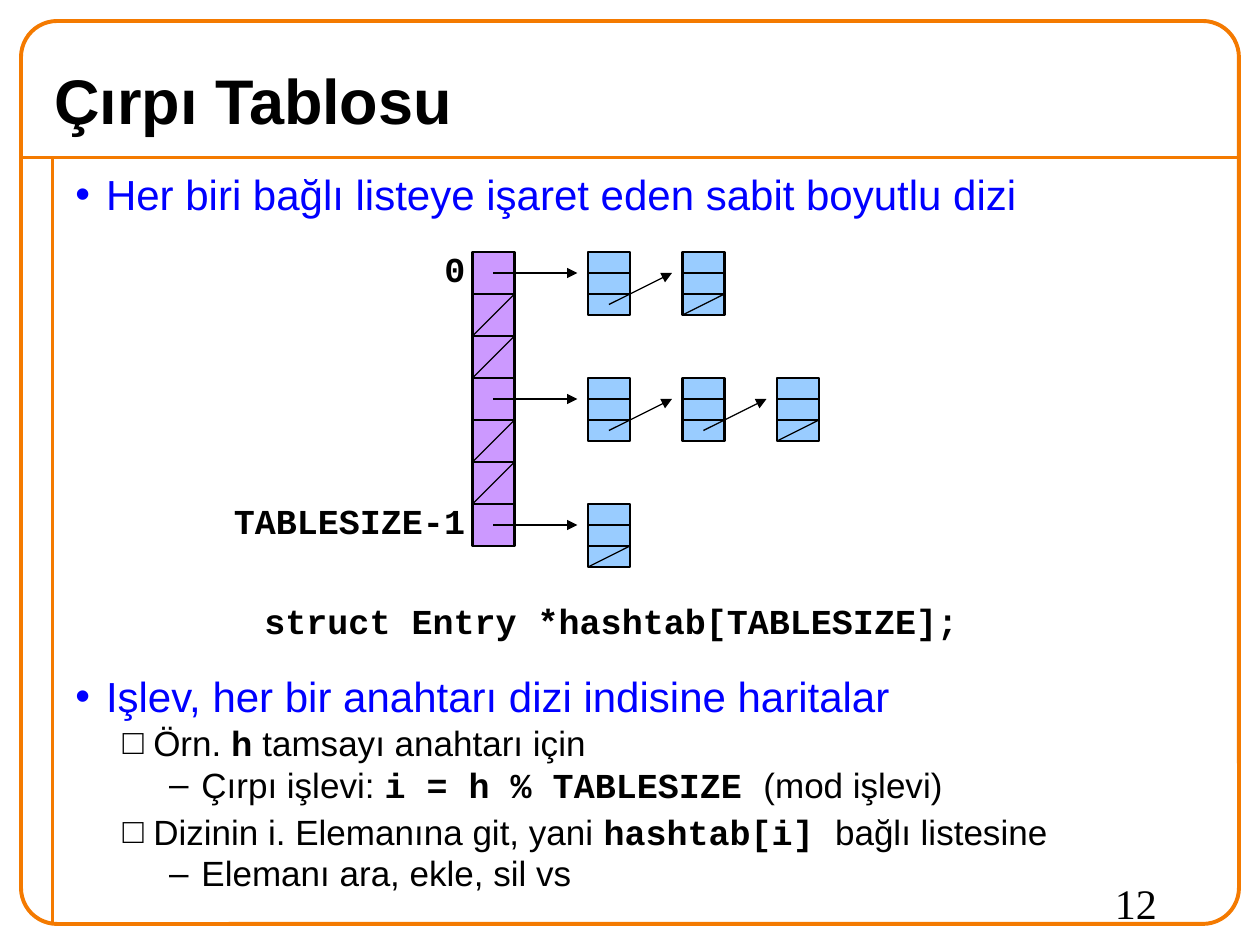
import pptx
import pptx.util
from lxml import etree
from pptx.dml.color import RGBColor
from pptx.enum.shapes import MSO_CONNECTOR, MSO_SHAPE
from pptx.enum.text import MSO_ANCHOR, PP_ALIGN
from pptx.oxml.ns import qn

Pt = pptx.util.Pt

ORANGE = RGBColor(0xF4, 0x7A, 0x00)
BLUE = RGBColor(0x00, 0x00, 0xFF)
BLACK = RGBColor(0x00, 0x00, 0x00)
PURPLE = RGBColor(0xCC, 0x99, 0xFF)
SKY = RGBColor(0x99, 0xCC, 0xFF)

SANS, MONO, SERIF = "Arial", "Courier New", "Times New Roman"

CELL = 24                     # side of a table slot, width of a list node
FIELD = CELL / 2              # height of one node field
TABLE_X, TABLE_Y = 270, 144
NODE_X, NODE_STEP = 336, 54
SLOTS = 7
CHAINS = {0: 2, 3: 3, 6: 1}   # slot -> number of nodes in its list
LABELS = {0: "0", SLOTS - 1: "TABLESIZE-1"}

# level -> bullet, colour, size, left margin, hanging indent
LEVELS = [
    ("•", BLUE, 24, 17.5, 17.5),
    ("□", BLACK, 20, 44.5, 17.5),
    ("–", BLACK, 20, 72, 18.5),
]

# level, space before, line spacing, runs of (text, font, bold)
BODY = [
    (0, 15, 0.9, [("Her biri bağlı listeye işaret eden sabit boyutlu dizi", SANS, False)]),
    (0, 261, 0.9, [("Işlev, her bir anahtarı dizi indisine haritalar", SANS, False)]),
    (1, 2.5, 0.9, [("Örn. ", SANS, False), ("h", SANS, True),
                   (" tamsayı anahtarı için", SANS, False)]),
    (2, 2.5, 0.9, [("Çırpı işlevi: ", SANS, False), ("i = h % TABLESIZE ", MONO, True),
                   ("(mod işlevi)", SANS, False)]),
    (1, 2.5, 1.0, [("Dizinin i. Elemanına git, yani ", SANS, False),
                   ("hashtab[i] ", MONO, True), ("bağlı listesine", SANS, False)]),
    (2, 2.5, 0.9, [("Elemanı ara, ekle, sil vs", SANS, False)]),
]


class Painter:
    def __init__(self, slide):
        self.s = slide

    def line(self, x1, y1, x2, y2, color=BLACK, width=0.75, arrow=False):
        c = self.s.shapes.add_connector(
            MSO_CONNECTOR.STRAIGHT, Pt(x1), Pt(y1), Pt(x2), Pt(y2))
        c.line.color.rgb = color
        c.line.width = Pt(width)
        if arrow:
            etree.SubElement(c.line._get_or_add_ln(), qn("a:tailEnd"), type="triangle")
        etree.SubElement(c._element.spPr, qn("a:effectLst"))

    def box(self, x, y, w, h, fill=None, color=BLACK, width=1.25,
            kind=MSO_SHAPE.RECTANGLE, parent=None):
        shapes = (parent or self.s).shapes
        sp = shapes.add_shape(kind, Pt(x), Pt(y), Pt(w), Pt(h))
        sp.shadow.inherit = False
        if fill is None:
            sp.fill.background()
        else:
            sp.fill.solid()
            sp.fill.fore_color.rgb = fill
        sp.line.color.rgb = color
        sp.line.width = Pt(width)
        return sp

    def node(self, x, y):
        group = self.s.shapes.add_group_shape()
        for i in range(3):
            self.box(x, y + i * FIELD, CELL, FIELD, SKY, parent=group)

    def null(self, x, y, h):
        """Strike out an empty pointer cell."""
        self.line(x + CELL, y, x, y + h)

    def style(self, r, size, font, color, bold):
        r.font.size = Pt(size)
        r.font.name = font
        r.font.bold = bold
        r.font.color.rgb = color

    def frame(self, x, y, w, h, wrap=True):
        tf = self.s.shapes.add_textbox(Pt(x), Pt(y), Pt(w), Pt(h)).text_frame
        tf.word_wrap = wrap
        return tf

    def text(self, x, y, w, h, text, size, font, bold=True, wrap=True,
             align=PP_ALIGN.LEFT, anchor=MSO_ANCHOR.TOP):
        tf = self.frame(x, y, w, h, wrap)
        tf.vertical_anchor = anchor
        tf.text = text
        p = tf.paragraphs[0]
        p.alignment = align
        self.style(p.runs[0], size, font, BLACK, bold)
        return p

    def bullets(self, x, y, w, h, items):
        tf = self.frame(x, y, w, h)
        for i, (level, before, spacing, runs) in enumerate(items):
            p = tf.add_paragraph() if i else tf.paragraphs[0]
            mark, color, size, margin, hang = LEVELS[level]
            p.level = level
            p.line_spacing = spacing
            p.space_before = Pt(before)
            pPr = p._p.get_or_add_pPr()
            pPr.set("marL", str(Pt(margin)))
            pPr.set("indent", str(-Pt(hang)))
            clr = etree.SubElement(pPr, qn("a:buClr"))
            etree.SubElement(clr, qn("a:srgbClr"), val=str(color))
            etree.SubElement(pPr, qn("a:buFont"), typeface=SANS)
            etree.SubElement(pPr, qn("a:buChar"), char=mark)
            for text, font, bold in runs:
                r = p.add_run()
                r.text = text
                self.style(r, size, font, color, bold)


def draw_hash_table(painter):
    for slot in range(SLOTS):
        y = TABLE_Y + slot * CELL
        painter.box(TABLE_X, y, CELL, CELL, PURPLE)
        if slot in LABELS:
            w = 12 * len(LABELS[slot]) + 15
            painter.text(273 - w, y - 6, w, 32, LABELS[slot], 20, MONO,
                         wrap=False, align=PP_ALIGN.RIGHT)
        if slot not in CHAINS:
            painter.null(TABLE_X, y, CELL)

    for slot, count in CHAINS.items():
        y = TABLE_Y + slot * CELL
        start = (TABLE_X + CELL / 2, y + FIELD)
        for i in range(count):
            x = NODE_X + i * NODE_STEP
            painter.node(x, y)
            painter.line(*start, x - 6, y + FIELD, arrow=True)
            start = (x + CELL / 2, y + 2.5 * FIELD)
        painter.null(x, y + 2 * FIELD, FIELD)


def main():
    prs = pptx.Presentation()
    prs.slide_width, prs.slide_height = Pt(720), Pt(540)
    painter = Painter(prs.slides.add_slide(prs.slide_layouts[6]))

    painter.line(12, 90, 708, 90, ORANGE, 2.25)
    painter.line(30, 90, 30, 528, ORANGE, 2.25)
    border = painter.box(12, 12, 696, 516, color=ORANGE, width=2.25,
                         kind=MSO_SHAPE.ROUNDED_RECTANGLE)
    border.adjustments[0] = 0.04

    painter.text(24, 30, 672, 54, "Çırpı Tablosu", 36, SANS, anchor=MSO_ANCHOR.MIDDLE)
    painter.bullets(36, 96, 666, 432, BODY)
    draw_hash_table(painter)
    p = painter.text(144, 342, 420, 30, "struct Entry *hashtab[TABLESIZE];", 20, MONO)
    p.line_spacing = 0.9
    p.space_before = Pt(12.5)
    painter.text(630, 498, 72, 36, "12", 24, SERIF, bold=False)

    prs.save("out.pptx")


if __name__ == "__main__":
    main()
